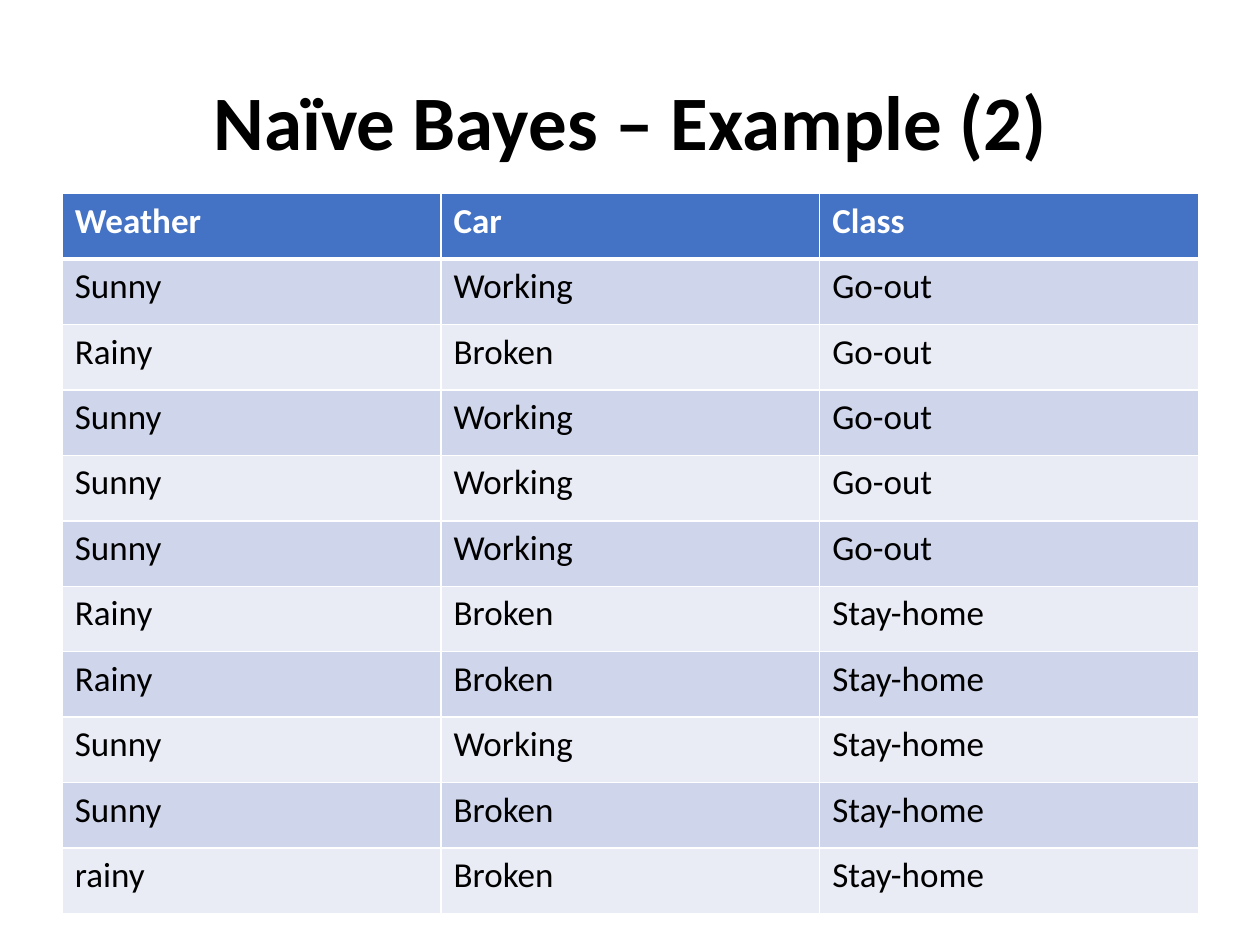
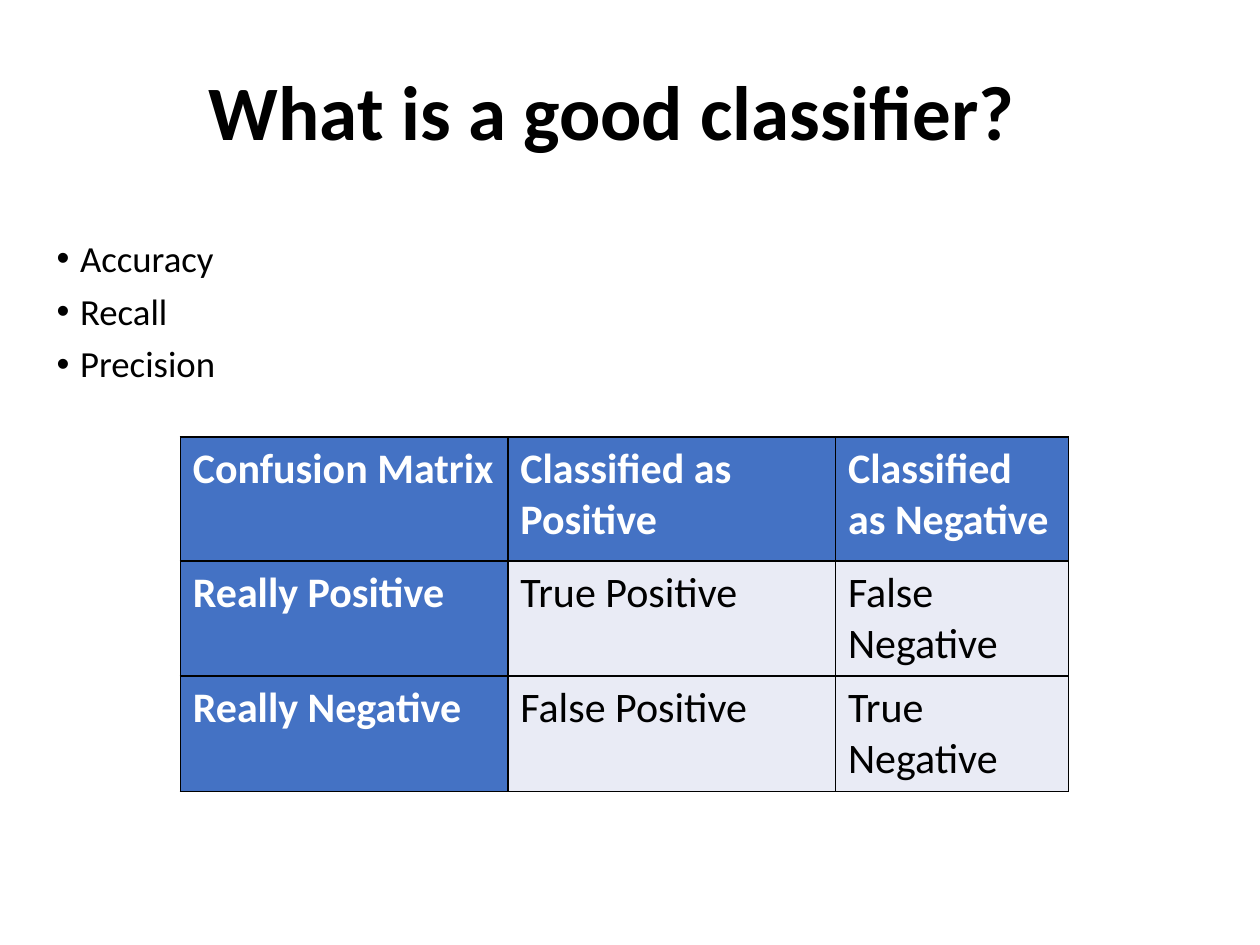
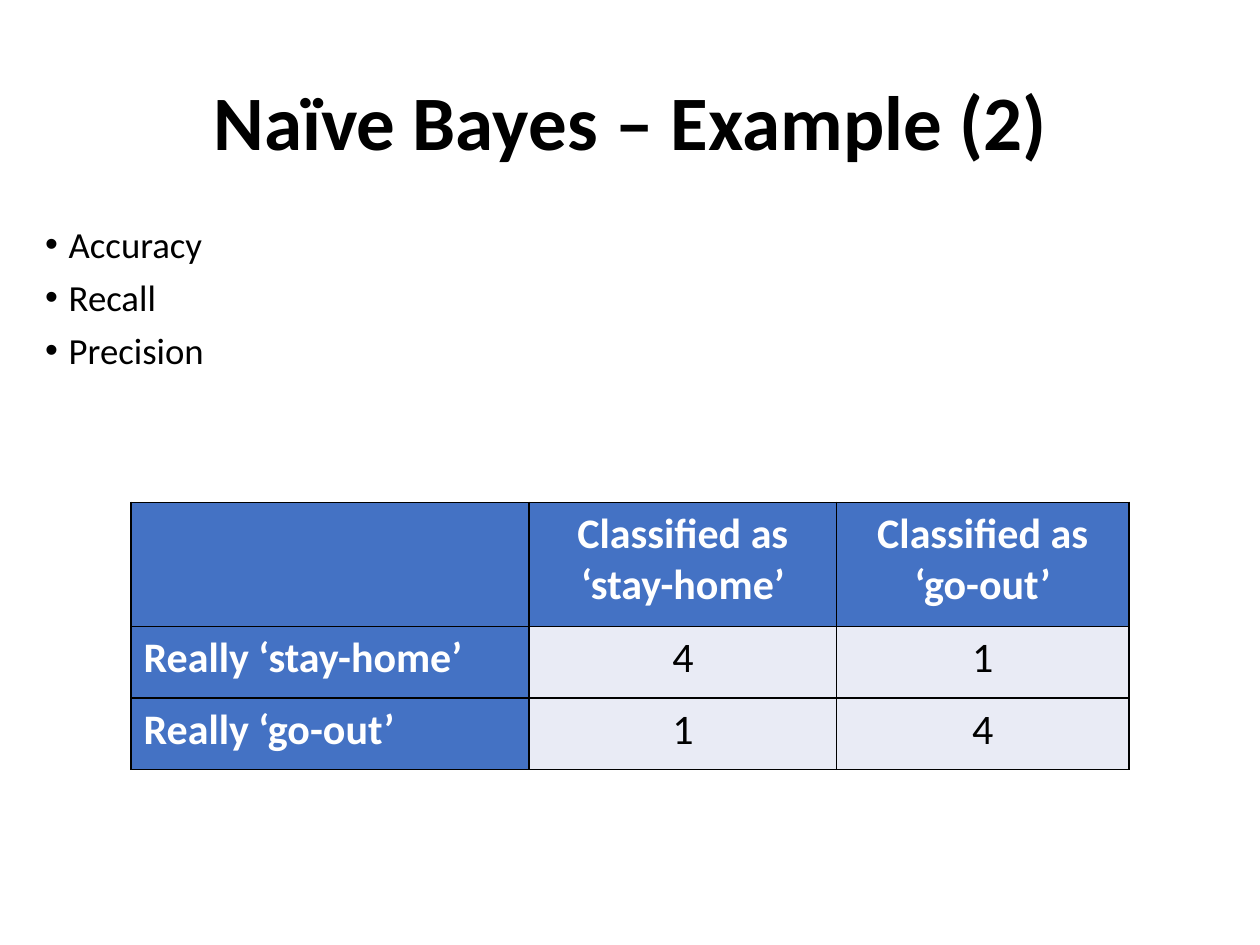
from dataclasses import dataclass

from lxml import etree
from pptx import Presentation
from pptx.dml.color import RGBColor
from pptx.enum import text
from pptx.oxml import ns
from pptx.util import Pt


@dataclass(frozen=True)
class Theme:
    font: str = "Calibri"
    black: str = "000000"
    white: str = "FFFFFF"
    header: str = "4472C4"
    band_dark: str = "CFD5EA"
    band_light: str = "E9EBF5"
    title_size: float = 44
    bullet_size: float = 21
    data_size: float = 20
    matrix_size: float = 24
    line_spacing: float = 0.9
    bullet_gap: float = 7.5
    bullet_indent: float = 13.5


THEME = Theme()
LEFT, CENTER = text.PP_ALIGN.LEFT, text.PP_ALIGN.CENTER

# Content
EXAMPLE_TITLE = "Naïve Bayes – Example (2)"
EXAMPLE_TITLE_BOX = (18.7, 17.3, 683.3, 108.7)
MEASURES = ["Accuracy", "Recall", "Precision"]
OBSERVATIONS = [
    ("Weather", "Car", "Class"),
    ("Sunny", "Working", "Go-out"),
    ("Rainy", "Broken", "Go-out"),
    ("Sunny", "Working", "Go-out"),
    ("Sunny", "Working", "Go-out"),
    ("Sunny", "Working", "Go-out"),
    ("Rainy", "Broken", "Stay-home"),
    ("Rainy", "Broken", "Stay-home"),
    ("Sunny", "Working", "Stay-home"),
    ("Sunny", "Broken", "Stay-home"),
    ("rainy", "Broken", "Stay-home"),
]
CONFUSION_MATRIX = [
    ("Confusion Matrix", "Classified as Positive", "Classified as Negative"),
    ("Really Positive", "True Positive", "False Negative"),
    ("Really Negative", "False Positive", "True Negative"),
]
EXAMPLE_MATRIX = [
    ("", "Classified as ‘stay-home’", "Classified as ‘go-out’"),
    ("Really ‘stay-home’", "4", "1"),
    ("Really ‘go-out’", "1", "4"),
]


# Text
def write(p, words, size, color=THEME.black, bold=False, align=LEFT, spacing=None):
    p.alignment = align
    if spacing:
        p.line_spacing = spacing
    r = p.add_run()
    r.text = words
    r.font.name = THEME.font
    r.font.size = Pt(size)
    r.font.bold = bold
    r.font.color.rgb = RGBColor.from_string(color)


def add_box(slide, box, anchor):
    tf = slide.shapes.add_textbox(*map(Pt, box)).text_frame
    tf.word_wrap = True
    tf.vertical_anchor = anchor
    return tf


def add_title(slide, words, box):
    tf = add_box(slide, box, text.MSO_ANCHOR.MIDDLE)
    write(tf.paragraphs[0], words, THEME.title_size, bold=True,
          align=CENTER, spacing=THEME.line_spacing)


def add_bullets(slide, items, box):
    tf = add_box(slide, box, text.MSO_ANCHOR.TOP)
    for i, item in enumerate(items):
        p = tf.add_paragraph() if i else tf.paragraphs[0]
        pPr = p._p.get_or_add_pPr()
        pPr.set("marL", str(Pt(THEME.bullet_indent)))
        pPr.set("indent", str(-Pt(THEME.bullet_indent)))
        etree.SubElement(pPr, ns.qn("a:buFont"), typeface="Arial")
        etree.SubElement(pPr, ns.qn("a:buChar"), char="•")
        if i:
            p.space_before = Pt(THEME.bullet_gap)
        write(p, item, THEME.bullet_size, spacing=THEME.line_spacing)


# Tables
def set_borders(cell, color, top=1, bottom=1):
    tcPr = cell._tc.get_or_add_tcPr()
    for side, width in (("L", 1), ("R", 1), ("T", top), ("B", bottom)):
        ln = etree.SubElement(tcPr, ns.qn(f"a:ln{side}"), w=str(Pt(width)))
        fill = etree.SubElement(ln, ns.qn("a:solidFill"))
        etree.SubElement(fill, ns.qn("a:srgbClr"), val=color)


def add_grid(slide, rows, origin, widths, heights):
    size = (sum(widths), sum(heights))
    table = slide.shapes.add_table(len(rows), len(widths),
                                   *map(Pt, origin + size)).table
    table.first_row = table.horz_banding = False
    for column, width in zip(table.columns, widths):
        column.width = Pt(width)
    for row, height in zip(table.rows, heights):
        row.height = Pt(height)
    return table


def fill_cell(cell, words, fill, size, header=False, align=LEFT):
    cell.fill.solid()
    cell.fill.fore_color.rgb = RGBColor.from_string(fill)
    if words:
        write(cell.text_frame.paragraphs[0], words, size, bold=header, align=align,
              color=THEME.white if header else THEME.black)


def add_data_table(slide, rows, origin, widths, heights):
    table = add_grid(slide, rows, origin, widths, heights)
    bands = (THEME.band_light, THEME.band_dark)
    for i, row in enumerate(rows):
        for j, words in enumerate(row):
            cell = table.cell(i, j)
            set_borders(cell, THEME.white, top=3 if i == 1 else 1,
                        bottom=3 if i == 0 else 1)
            fill = bands[i % 2] if i else THEME.header
            fill_cell(cell, words, fill, THEME.data_size, header=i == 0)


def add_matrix(slide, rows, origin, widths, heights, align=LEFT):
    table = add_grid(slide, rows, origin, widths, heights)
    for i, row in enumerate(rows):
        for j, words in enumerate(row):
            cell = table.cell(i, j)
            header = i == 0 or j == 0
            set_borders(cell, THEME.black)
            fill_cell(cell, words, THEME.header if header else THEME.band_light,
                      THEME.matrix_size, header, align if j else LEFT)


def main():
    prs = Presentation()
    prs.slide_width, prs.slide_height = Pt(720), Pt(540)
    data, measures, result = (prs.slides.add_slide(prs.slide_layouts[6])
                              for _ in range(3))

    # Observations
    add_data_table(data, OBSERVATIONS, (35.6, 110.5), [216.4] * 3,
                   [37.44] * len(OBSERVATIONS))
    add_title(data, EXAMPLE_TITLE, EXAMPLE_TITLE_BOX)

    # Measures of a classifier
    add_title(measures, "What is a good classifier?", (64.8, 20.9, 570.2, 90))
    add_bullets(measures, MEASURES, (25.2, 133.9, 663, 149.8))
    add_matrix(measures, CONFUSION_MATRIX, (103, 249.8),
               [187.2, 187.2, 133.2], [70.8, 65.8, 65.8])

    # Result for the example
    add_bullets(result, MEASURES, (18.7, 126, 619.2, 149.8))
    add_matrix(result, EXAMPLE_MATRIX, (74.9, 287.1),
               [227.5, 175.7, 167], [70.8, 41, 41], align=CENTER)
    add_title(result, EXAMPLE_TITLE, EXAMPLE_TITLE_BOX)

    prs.save("out.pptx")


if __name__ == "__main__":
    main()
